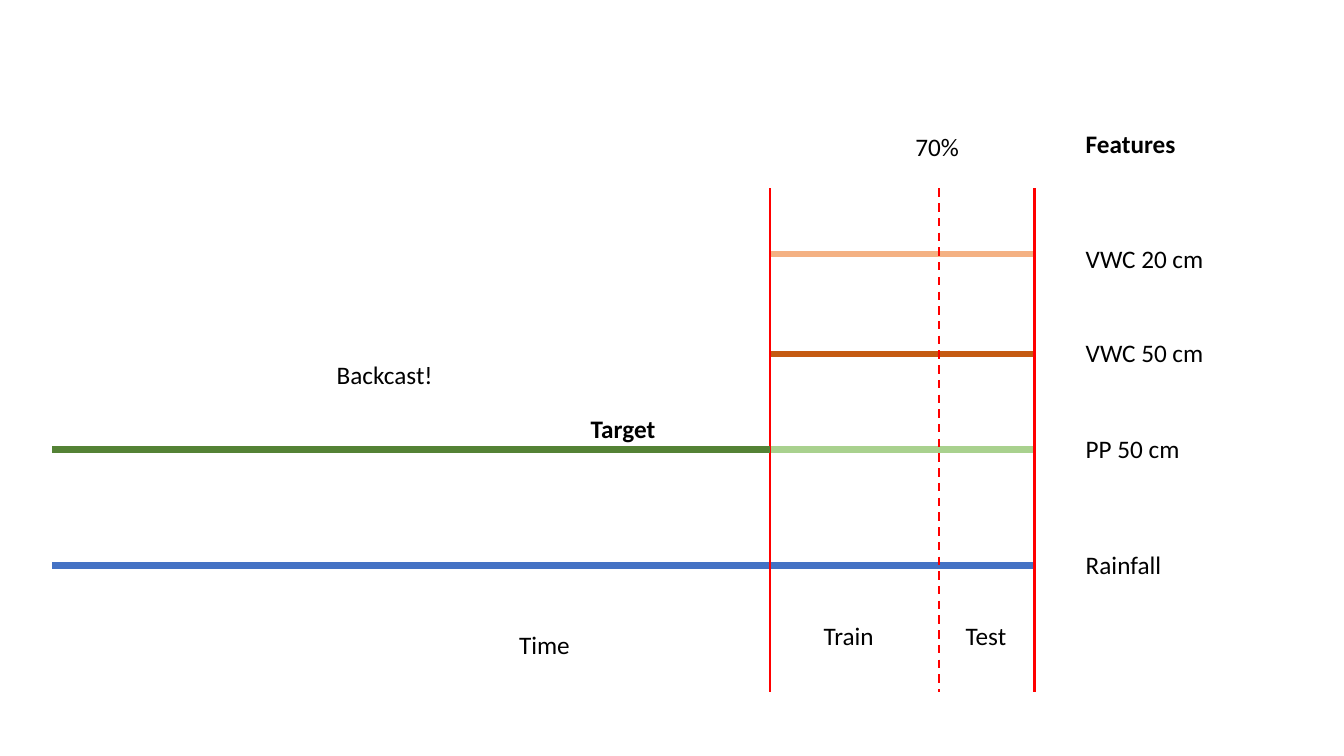
from lxml import etree
from pptx import Presentation
from pptx.dml.color import RGBColor
from pptx.enum import dml, shapes, text
from pptx.oxml import ns
from pptx.util import Inches, Pt

COLORS = {
    "rain": "4472C4", "press": "A9D18E", "target": "548235",
    "deep": "C55A11", "shallow": "F4B183", "split": "FF0000", "ink": "000000",
}
START, TRAIN, TEST, END = 0.52, 7.64, 9.31, 10.26
TOP, BASE = 1.87, 6.87
LABEL = 10.67


def add_line(slide, begin, end, color, width, dash=None):
    line = slide.shapes.add_connector(
        shapes.MSO_CONNECTOR.STRAIGHT, *map(Inches, begin + end))
    line.line.color.rgb = RGBColor.from_string(COLORS[color])
    line.line.width = Pt(width)
    if dash:
        line.line.dash_style = dash
    etree.SubElement(line._element.spPr, ns.qn("a:effectLst"))


def add_label(slide, words, left, top, width, height=0.4, bold=False):
    box = slide.shapes.add_textbox(*map(Inches, (left, top, width, height)))
    frame = box.text_frame
    frame.word_wrap = True
    frame.auto_size = text.MSO_AUTO_SIZE.SHAPE_TO_FIT_TEXT
    frame.text = words
    font = frame.paragraphs[0].runs[0].font
    style = {"name": "Calibri", "size": Pt(18), "bold": bold}
    for key, value in style.items():
        setattr(font, key, value)
    font.color.rgb = RGBColor.from_string(COLORS["ink"])


def main():
    deck = Presentation()
    deck.slide_width, deck.slide_height = Inches(13.33), Inches(7.5)
    slide = deck.slides.add_slide(deck.slide_layouts[6])

    # Data series over time
    for color, left, right, y in [
        ("rain", START, END, 5.61),
        ("press", TRAIN, END, 4.46),
        ("deep", TRAIN, END, 3.51),
        ("shallow", TRAIN, END, 2.52),
    ]:
        add_line(slide, (left, y), (right, y), color, 4.5)

    # Period limits and the train/test split
    for x, dash in [(TRAIN, None), (END, None),
                    (TEST, dml.MSO_LINE.DASH)]:
        add_line(slide, (x, TOP), (x, BASE), "split", 1.5, dash)

    # Backcast target
    add_line(slide, (START, 4.46), (TRAIN, 4.46), "target", 4.5)

    # Feature names
    add_label(slide, "Features", LABEL, 1.22, 1.25, bold=True)
    for words, top in [("VWC 20 cm", 2.36), ("VWC 50 cm", 3.3),
                       ("PP 50 cm", 4.25), ("Rainfall", 5.4)]:
        add_label(slide, words, LABEL, top, 2.02, 0.42)

    # Notes on the time line
    add_label(slide, "Time", 5.05, 6.19, 1.77, 0.42)
    add_label(slide, "Train", 8.07, 6.1, 1.64)
    add_label(slide, "Test", 9.48, 6.11, 0.67)
    add_label(slide, "70%", 8.98, 1.25, 0.83)
    add_label(slide, "Backcast!", 3.24, 3.52, 1.68)
    add_label(slide, "Target", 5.76, 4.05, 1.25, bold=True)

    deck.save("out.pptx")


if __name__ == "__main__":
    main()
